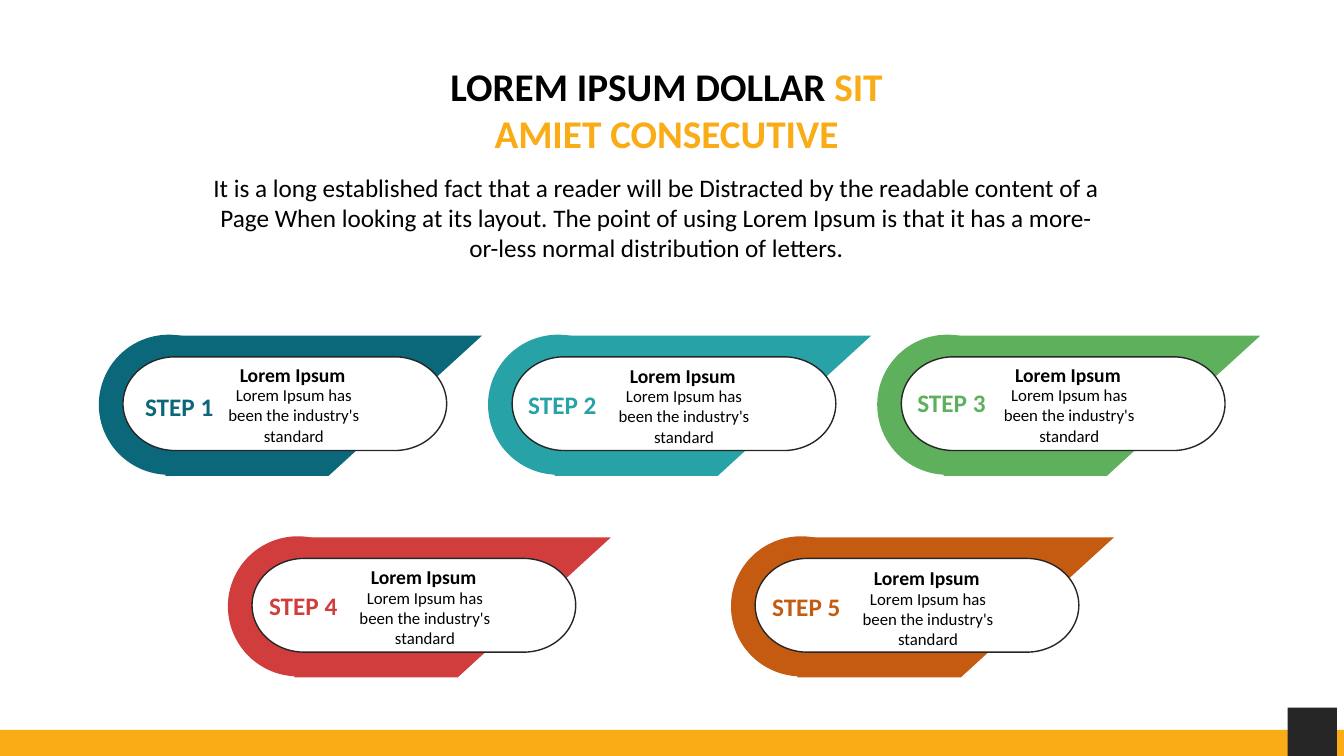
from dataclasses import dataclass

from pptx import Presentation
from pptx.dml.color import RGBColor as Rgb
from pptx.enum.shapes import MSO_SHAPE as Kind
from pptx.enum.text import MSO_AUTO_SIZE as Fit, PP_ALIGN as Align
from pptx.shapes.autoshape import Shape
from pptx.shapes.shapetree import GroupShapes, SlideShapes
from pptx.util import Inches, Pt


@dataclass(frozen=True)
class Theme:
    font: str = "Calibri"
    black: str = "000000"
    white: str = "FFFFFF"
    dark: str = "262626"
    amber: str = "F9AC16"
    title: int = 28
    lead: int = 18
    step: int = 18
    head: int = 14
    body: int = 12


@dataclass(frozen=True)
class Box:
    left: float
    top: float
    width: float
    height: float


@dataclass(frozen=True)
class Run:
    text: str
    size: int
    color: str
    bold: bool = False


@dataclass(frozen=True)
class Step:
    name: str
    color: str
    left: float
    top: float
    label: tuple[float, float]
    head: tuple[float, float]


THEME = Theme()
TOPS = (3.32, 5.32)
STEPS = (
    Step("STEP 1", "0B687A", 0.98, TOPS[0], (1.34, 3.83), (2.28, 3.55)),
    Step("STEP 2", "27A2A6", 4.84, TOPS[0], (5.14, 3.81), (6.15, 3.56)),
    Step("STEP 3", "5EB05D", 8.70, TOPS[0], (9.00, 3.79), (9.97, 3.55)),
    Step("STEP 4", "D13D3D", 2.26, TOPS[1], (2.57, 5.81), (3.58, 5.56)),
    Step("STEP 5", "C55A11", 7.25, TOPS[1], (7.56, 5.82), (8.57, 5.57)),
)
BODY = ("Lorem Ipsum has", "been the industry's", "standard")
LEAD = (
    "It is a long established fact that a reader will be Distracted by the "
    "readable content of a Page When looking at its layout. The point of using "
    "Lorem Ipsum is that it has a more-or-less normal distribution of letters."
)


def paint(shape: Shape, fill: str, line: str | None = None) -> None:
    shape.shadow.inherit = False
    shape.fill.solid()
    shape.fill.fore_color.rgb = Rgb.from_string(fill)
    if line is None:
        shape.line.fill.background()
    else:
        shape.line.color.rgb = Rgb.from_string(line)
        shape.line.width = Pt(1)


def place(shapes: SlideShapes | GroupShapes, kind: Kind, box: Box,
          fill: str, line: str | None = None) -> None:
    shape = shapes.add_shape(kind, Inches(box.left), Inches(box.top),
                             Inches(box.width), Inches(box.height))
    paint(shape, fill, line)


def write(shapes: SlideShapes, box: Box, rows: list[list[Run]],
          align: Align = Align.LEFT, wrap: bool = False) -> None:
    frame = shapes.add_textbox(Inches(box.left), Inches(box.top),
                               Inches(box.width), Inches(box.height)).text_frame
    frame.word_wrap = wrap
    frame.auto_size = Fit.SHAPE_TO_FIT_TEXT
    for i, row in enumerate(rows):
        para = frame.add_paragraph() if i else frame.paragraphs[0]
        para.alignment = align
        for item in row:
            run = para.add_run()
            run.text = item.text
            run.font.name = THEME.font
            run.font.size = Pt(item.size)
            run.font.bold = item.bold
            run.font.color.rgb = Rgb.from_string(item.color)


def badge(shapes: SlideShapes, step: Step) -> None:
    group = shapes.add_group_shape().shapes
    left, top = step.left + 0.66, step.top + 0.01
    low = top + 1.39
    pen = group.build_freeform(Inches(left), Inches(top))
    pen.add_line_segments([(Inches(x), Inches(y)) for x, y in (
        (left + 3.14, top), (left + 1.62, low), (left, low))])
    paint(pen.convert_to_shape(), step.color)
    place(group, Kind.OVAL, Box(step.left, step.top, 1.39, 1.39), step.color)
    place(group, Kind.FLOWCHART_TERMINATOR,
          Box(step.left + 0.24, step.top + 0.22, 3.21, 0.93),
          THEME.white, THEME.dark)


def caption(shapes: SlideShapes, step: Step) -> None:
    x, y = step.head
    write(shapes, Box(*step.label, 0.89, 0.4),
          [[Run(step.name, THEME.step, step.color, True)]])
    write(shapes, Box(x, y, 1.26, 0.34),
          [[Run("Lorem Ipsum", THEME.head, THEME.black, True)]])
    write(shapes, Box(x - 0.12, y + 0.22, 1.51, 0.71),
          [[Run(text, THEME.body, THEME.black)] for text in BODY], Align.CENTER)


def main() -> None:
    deck = Presentation()
    deck.slide_width, deck.slide_height = Inches(13.33), Inches(7.5)
    shapes = deck.slides.add_slide(deck.slide_layouts[6]).shapes
    place(shapes, Kind.RECTANGLE, Box(0, 7.24, 13.33, 0.26), THEME.amber)
    place(shapes, Kind.RECTANGLE, Box(12.77, 7.02, 0.49, 0.48), THEME.dark)
    for step in STEPS:
        badge(shapes, step)
    write(shapes, Box(3.82, 0.57, 5.58, 1.04),
          [[Run("LOREM IPSUM DOLLAR ", THEME.title, THEME.black, True),
            Run("SIT AMIET CONSECUTIVE", THEME.title, THEME.amber, True)]],
          Align.CENTER, True)
    write(shapes, Box(1.96, 1.66, 9.1, 1.01),
          [[Run(LEAD, THEME.lead, THEME.black)]], Align.CENTER, True)
    for step in STEPS:
        caption(shapes, step)
    deck.save("out.pptx")


if __name__ == "__main__":
    main()
